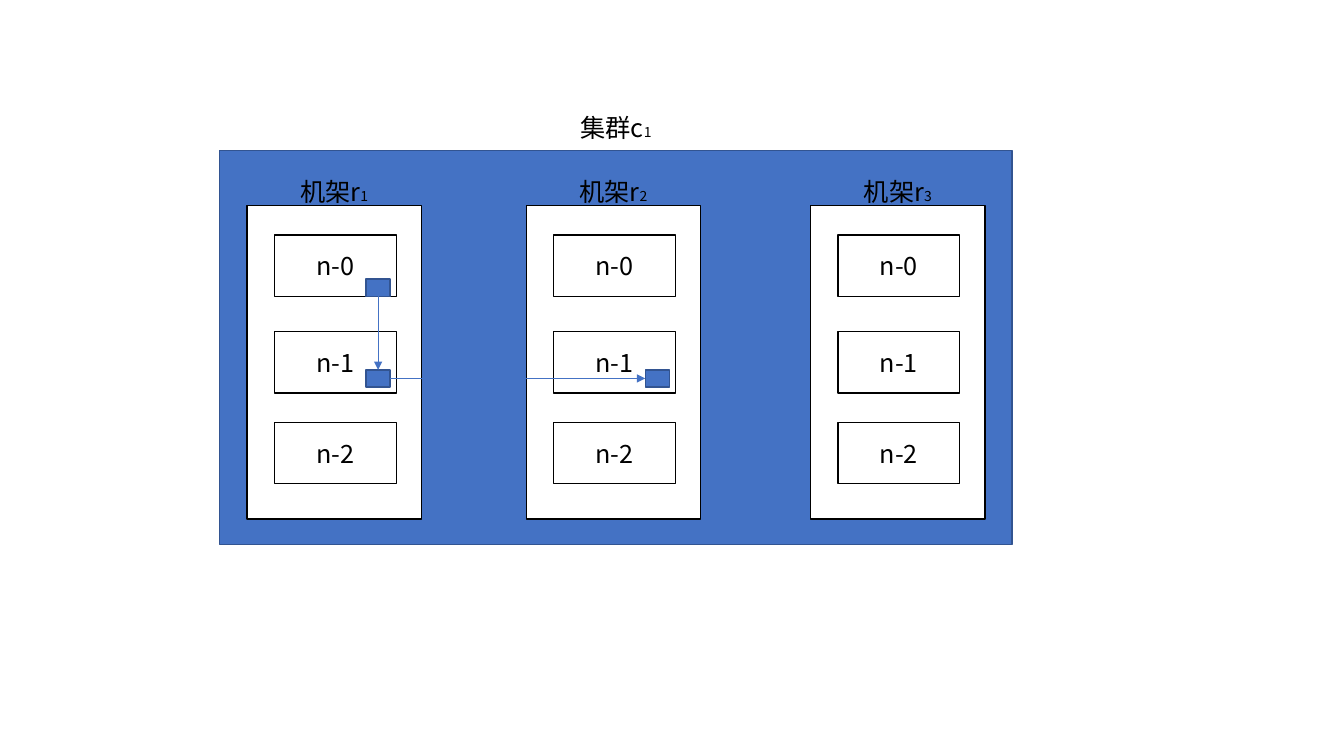
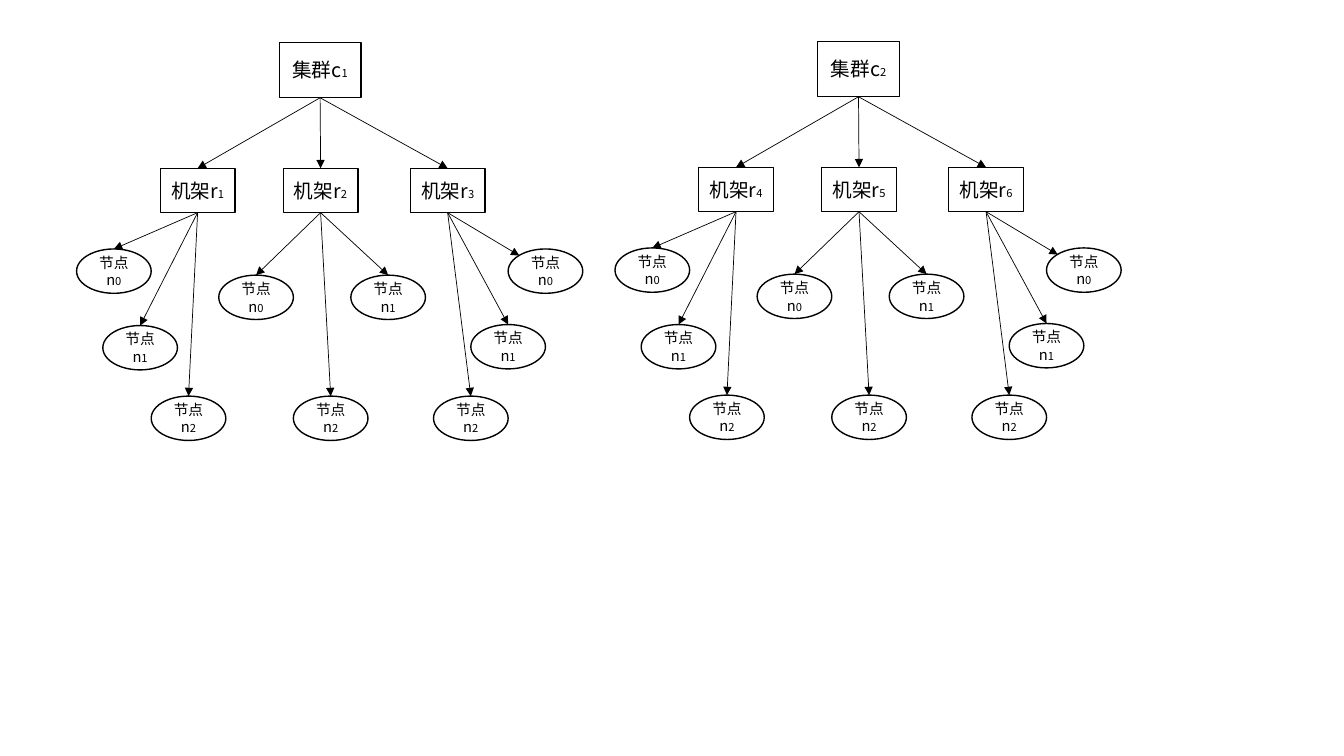
from lxml import etree
from pptx import Presentation
from pptx.dml.color import RGBColor
from pptx.enum.shapes import MSO_CONNECTOR, MSO_SHAPE
from pptx.enum.text import MSO_ANCHOR, PP_ALIGN
from pptx.oxml.ns import qn
from pptx.util import Inches, Pt

RECTANGLE, ELLIPSE = MSO_SHAPE.RECTANGLE, MSO_SHAPE.OVAL
STRAIGHT = MSO_CONNECTOR.STRAIGHT
TOP, MIDDLE, CENTER = MSO_ANCHOR.TOP, MSO_ANCHOR.MIDDLE, PP_ALIGN.CENTER

FONT = "Noto Sans CJK SC"
BLACK, WHITE, BLUE, NAVY = "000000", "FFFFFF", "4472C4", "325491"

FRAME = (2.18, 1.49, 7.86, 3.91)
RACK_COLUMNS = (2.45, 5.22, 8.04)
RACK_TOP, RACK_SIZE = 2.04, (1.73, 3.11)
NODE_INDENT, NODE_SIZE = 0.27, (1.21, 0.61)
NODE_ROWS = (2.33, 3.29, 4.19)
BLOCK_INDENT, BLOCK_DROP, BLOCK_SIZE = 1.18, (0.44, 0.38), (0.24, 0.17)
LABEL_HEIGHT = 0.4

ROOT_SIZE, LEAF_SIZE = (0.81, 0.55), (0.74, 0.44)
ROOT_PLACE = (2.77, 0.42)
BRANCH_COLUMNS, BRANCH_TOP = (1.59, 2.81, 4.07), 1.67
LEAF_PLACES = (
    ((0.76, 2.47), (1.02, 3.23), (1.5, 3.93)),
    ((2.17, 2.73), (3.48, 2.73), (2.91, 3.93)),
    ((5.04, 2.47), (4.67, 3.22), (4.3, 3.93)),
)
TREE_SHIFT = (5.34, -0.01)
TOP_CENTER, BOTTOM_CENTER = (0.5, 0), (0.5, 1)
LEFT_CENTER, RIGHT_CENTER = (0, 0.5), (1, 0.5)
ELLIPSE_TOP_LEFT = (0.15, 0.15)


def color(value):
    """Turn a hex string into a colour."""
    return RGBColor.from_string(value)


def write(shape, text, number="", size=18, number_size=10, anchor=MIDDLE):
    """Write centred text followed by an optional smaller number."""
    frame = shape.text_frame
    frame.word_wrap = True
    frame.vertical_anchor = anchor
    para = frame.paragraphs[0]
    para.alignment = CENTER
    for words, points in ((text, size), (number, number_size)):
        if words:
            span = para.add_run()
            span.text = words
            span.font.size = Pt(points)
            span.font.color.rgb = color(BLACK)
            span.font.name = FONT
            etree.SubElement(span.font._element, qn("a:ea"), typeface=FONT)


def add_box(page, place, size, kind=RECTANGLE, fill=WHITE, line=BLACK):
    """Add a filled, outlined shape."""
    box = page.shapes.add_shape(kind, *map(Inches, (*place, *size)))
    box.shadow.inherit = False
    box.fill.solid()
    box.fill.fore_color.rgb = color(fill)
    box.line.color.rgb = color(line)
    box.line.width = Pt(1)
    return box


def add_label(page, left, top, width, text, number):
    """Add a one-line numbered caption."""
    label = page.shapes.add_textbox(*map(Inches, (left, top, width, LABEL_HEIGHT)))
    write(label, text, number, anchor=TOP)


def point_on(box, shares):
    """Find the point at the given shares of a shape's width and height."""
    across, down = shares
    return int(box.left + box.width * across), int(box.top + box.height * down)


def add_arrow(page, start, end, line=BLACK):
    """Add a thin straight arrow between two points."""
    arrow = page.shapes.add_connector(STRAIGHT, *start, *end)
    arrow.line.color.rgb = color(line)
    arrow.line.width = Pt(0.5)
    etree.SubElement(arrow.line._get_or_add_ln(), qn("a:tailEnd"), type="triangle")
    etree.SubElement(arrow._element.spPr, qn("a:effectLst"))


def add_rack(page, left, number):
    """Add a captioned rack with its three nodes."""
    add_box(page, (left, RACK_TOP), RACK_SIZE)
    for index, top in enumerate(NODE_ROWS):
        node = add_box(page, (left + NODE_INDENT, top), NODE_SIZE)
        write(node, f"n-{index}")
    add_label(page, left, RACK_TOP - 0.34, RACK_SIZE[0], "机架r", str(number))


def add_block(page, rack, row):
    """Add a data block inside the node at the given rack and row."""
    place = (RACK_COLUMNS[rack] + BLOCK_INDENT, NODE_ROWS[row] + BLOCK_DROP[row])
    return add_box(page, place, BLOCK_SIZE, fill=BLUE, line=NAVY)


def draw_cluster(page):
    """Draw a cluster of racks with a block copied between nodes."""
    left, top, width, height = FRAME
    add_box(page, (left, top), (width, height), fill=BLUE, line=NAVY)
    for number, column in enumerate(RACK_COLUMNS, 1):
        add_rack(page, column, number)
    first, second, third = (add_block(page, *cell) for cell in ((0, 0), (0, 1), (1, 1)))
    add_arrow(page, point_on(first, BOTTOM_CENTER), point_on(second, TOP_CENTER), BLUE)
    add_arrow(page, point_on(second, RIGHT_CENTER), point_on(third, LEFT_CENTER), BLUE)
    add_label(page, left, top - 0.42, width, "集群c", "1")


def draw_tree(page, cluster, shift=(0, 0)):
    """Draw a cluster as a tree of racks and nodes."""

    def add_item(place, text, number, item_size=LEAF_SIZE, kind=RECTANGLE, size=14):
        """Add a numbered tree item at its shifted place."""
        moved = [start + step for start, step in zip(place, shift)]
        item = add_box(page, moved, item_size, kind)
        write(item, text, str(number), size=size, number_size=8)
        return item

    root = add_item(ROOT_PLACE, "集群c", cluster, ROOT_SIZE)
    first_rack = (cluster - 1) * len(BRANCH_COLUMNS) + 1
    for branch, (column, places) in enumerate(zip(BRANCH_COLUMNS, LEAF_PLACES)):
        rack = add_item((column, BRANCH_TOP), "机架r", first_rack + branch)
        add_arrow(page, point_on(root, BOTTOM_CENTER), point_on(rack, TOP_CENTER))
        for index, place in enumerate(places):
            node = add_item(place, "节点n", index, kind=ELLIPSE, size=10.5)
            beside = branch == 2 and index == 0
            target = ELLIPSE_TOP_LEFT if beside else TOP_CENTER
            add_arrow(page, point_on(rack, BOTTOM_CENTER), point_on(node, target))


def main():
    """Build and save the deck."""
    deck = Presentation()
    deck.slide_width, deck.slide_height = Inches(13.33), Inches(7.5)
    blank = deck.slide_layouts[6]
    draw_cluster(deck.slides.add_slide(blank))
    trees = deck.slides.add_slide(blank)
    draw_tree(trees, 1)
    draw_tree(trees, 2, TREE_SHIFT)
    deck.save("out.pptx")


if __name__ == "__main__":
    main()
